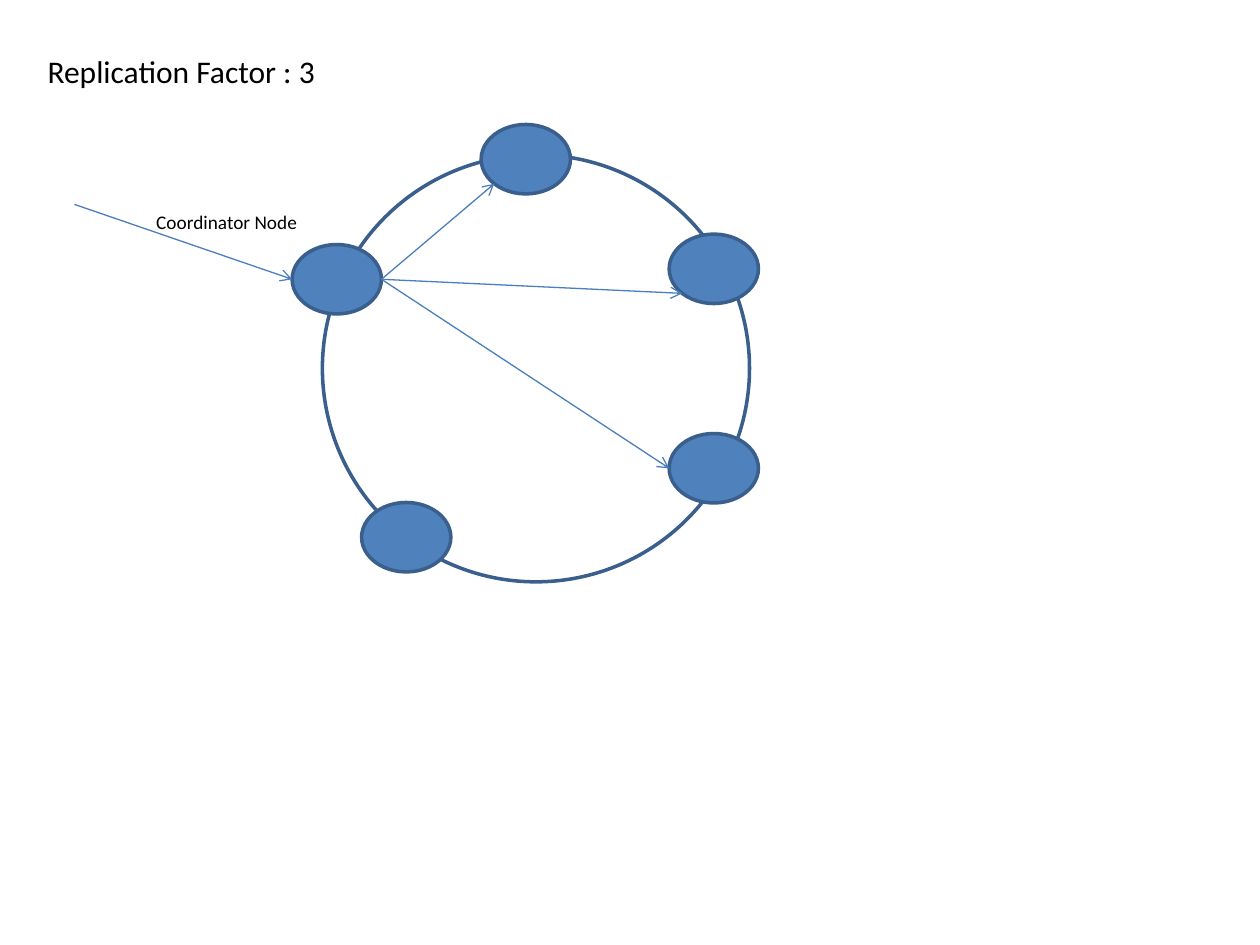
from dataclasses import dataclass
from math import cos, radians, sin

from lxml import etree
from pptx import Presentation
from pptx.dml.color import RGBColor
from pptx.enum.shapes import MSO_CONNECTOR, MSO_SHAPE
from pptx.enum.text import MSO_AUTO_SIZE
from pptx.oxml.ns import qn
from pptx.util import Cm, Pt

ELLIPSE = MSO_SHAPE.OVAL
STRAIGHT = MSO_CONNECTOR.STRAIGHT
GROW = MSO_AUTO_SIZE.SHAPE_TO_FIT_TEXT
LEFT, RIGHT, LOWER_LEFT = 180, 0, 135


@dataclass(frozen=True)
class Theme:
    font: str = "Calibri"
    text: RGBColor = RGBColor(0, 0, 0)
    background: RGBColor = RGBColor(255, 255, 255)
    node: RGBColor = RGBColor(0x4F, 0x81, 0xBD)
    outline: RGBColor = RGBColor(0x3A, 0x5F, 0x8C)
    arrow: RGBColor = RGBColor(0x4B, 0x7E, 0xBC)
    title_size: float = 18
    label_size: float = 11
    outline_width: float = 2
    arrow_width: float = 0.75


@dataclass(frozen=True)
class Oval:
    x: float
    y: float
    w: float = 1.8
    h: float = 1.4

    def point(self, angle: float) -> tuple[float, float]:
        a = radians(angle)
        return (self.x + self.w / 2 * (1 + cos(a)),
                self.y + self.h / 2 * (1 + sin(a)))


@dataclass(frozen=True)
class Label:
    text: str
    x: float
    y: float
    w: float
    h: float
    size: float


THEME = Theme()
RING = Oval(6.5, 3.12, 8.61, 8.61)
TOP = Oval(9.7, 2.51)
UPPER_RIGHT = Oval(13.49, 4.72)
LOWER_RIGHT = Oval(13.49, 8.74)
BOTTOM = Oval(7.29, 10.13)
COORDINATOR = Oval(5.89, 4.93)
NODES = (TOP, UPPER_RIGHT, LOWER_RIGHT, BOTTOM, COORDINATOR)
REPLICAS = ((TOP, LOWER_LEFT), (UPPER_RIGHT, LOWER_LEFT), (LOWER_RIGHT, LEFT))
CLIENT = (1.5, 4.12)
LABELS = (
    Label("Coordinator Node", 2.9, 4.12, 4.6, 0.73, THEME.label_size),
    Label("Replication Factor : 3", 0.71, 0.92, 6, 1.03, THEME.title_size),
)


def add_oval(slide, oval: Oval, fill: RGBColor) -> None:
    sp = slide.shapes.add_shape(
        ELLIPSE, Cm(oval.x), Cm(oval.y), Cm(oval.w), Cm(oval.h))
    sp.shadow.inherit = False
    sp.fill.solid()
    sp.fill.fore_color.rgb = fill
    sp.line.color.rgb = THEME.outline
    sp.line.width = Pt(THEME.outline_width)


def add_arrow(slide, start: tuple[float, float],
              end: tuple[float, float]) -> None:
    cxn = slide.shapes.add_connector(
        STRAIGHT, *(Cm(v) for v in (*start, *end)))
    cxn.line.color.rgb = THEME.arrow
    cxn.line.width = Pt(THEME.arrow_width)
    ln = cxn.line._get_or_add_ln()
    etree.SubElement(ln, qn("a:tailEnd"), type="arrow")
    etree.SubElement(cxn._element.spPr, qn("a:effectLst"))


def add_label(slide, label: Label) -> None:
    sp = slide.shapes.add_textbox(
        Cm(label.x), Cm(label.y), Cm(label.w), Cm(label.h))
    tf = sp.text_frame
    tf.word_wrap = True
    tf.auto_size = GROW
    p = tf.paragraphs[0]
    r = p.add_run()
    r.text = label.text
    r.font.name = THEME.font
    r.font.size = Pt(label.size)
    r.font.color.rgb = THEME.text


def main() -> None:
    prs = Presentation()
    prs.slide_width, prs.slide_height = Cm(25.4), Cm(19.05)
    s = prs.slides.add_slide(prs.slide_layouts[6])
    add_oval(s, RING, THEME.background)
    for node in NODES:
        add_oval(s, node, THEME.node)
    add_arrow(s, CLIENT, COORDINATOR.point(LEFT))
    for label in LABELS:
        add_label(s, label)
    for node, angle in REPLICAS:
        add_arrow(s, COORDINATOR.point(RIGHT), node.point(angle))
    prs.save("out.pptx")


main()
